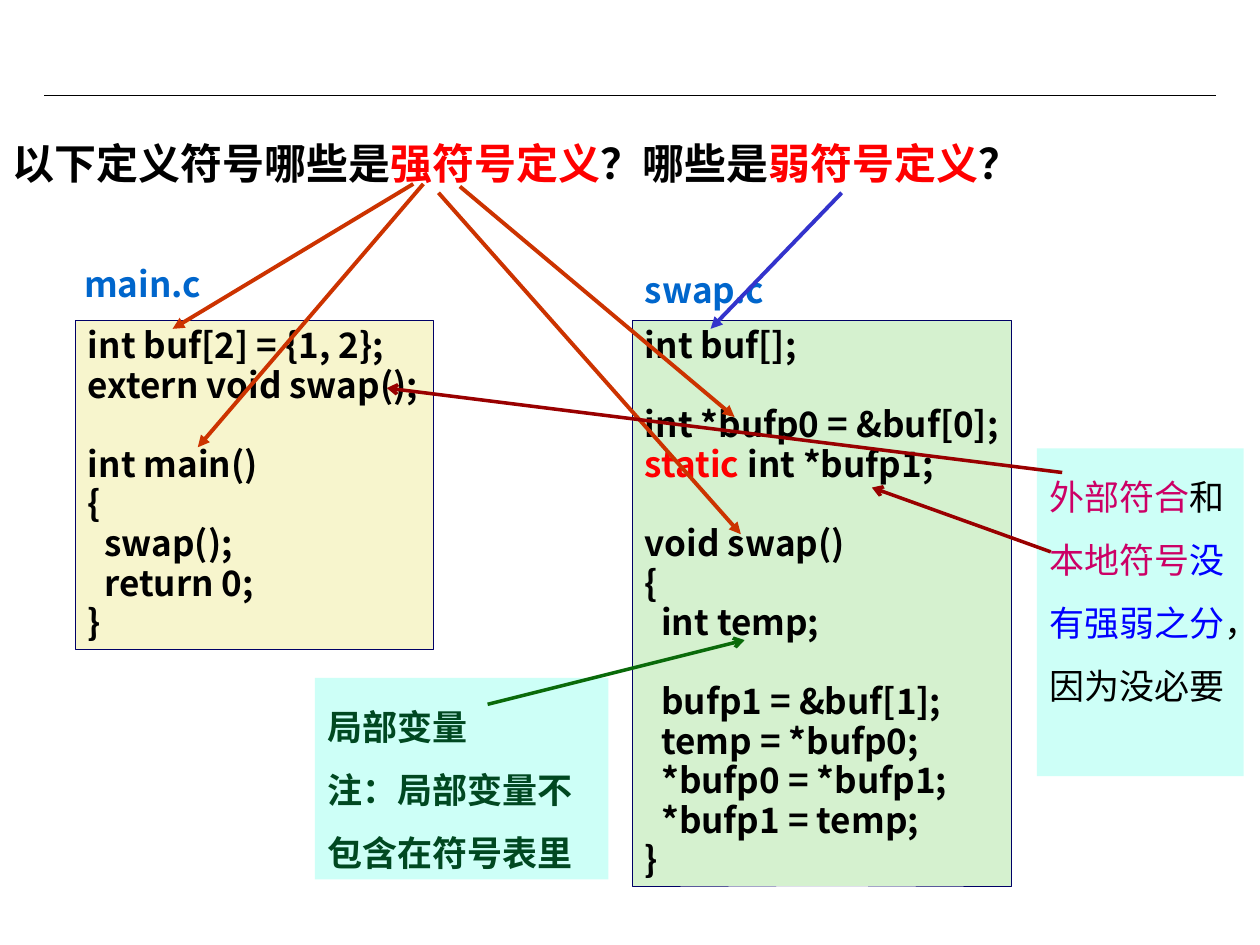
from pptx import Presentation, util as u
from pptx.dml.color import RGBColor
from pptx.enum import shapes, text
from pptx.oxml.ns import qn
from lxml import etree

COLORS = {
    "black": "000000", "red": "FF0000", "blue": "0000FF", "pink": "CC0066",
    "label": "0066CC", "green": "004821", "border": "000066",
    "cream": "F7F5CD", "mint": "D5F1CF", "aqua": "CDFFF7",
    "strong": "CC3300", "weak": "3333CC", "none": "990000", "local": "0A6A0A",
}
CJK_FONT = "Noto Sans CJK SC"
CODE_PITCH = 22.6
NOTE_PITCH = 36
TITLE_PITCH = 29.7
INDENT = 0.13

MAIN_CODE = """int buf[2] = {1, 2};
extern void swap();

int main()
{
  swap();
  return 0;
}"""
SWAP_CODE = """int buf[];

int *bufp0 = &buf[0];
static int *bufp1;

void swap()
{
  int temp;

  bufp1 = &buf[1];
  temp = *bufp0;
  *bufp0 = *bufp1;
  *bufp1 = temp;
}"""


def rgb(name):
    """Look up a palette colour."""
    return RGBColor.from_string(COLORS[name])


def add_spans(para, spans, pitch, size=20, bold=True, font=CJK_FONT):
    """Add (wording, colour) spans to a paragraph with a fixed line pitch."""
    para.alignment = text.PP_ALIGN.LEFT
    para.line_spacing = u.Pt(pitch)
    for wording, color in spans:
        span = para.add_run()
        span.text = wording
        span.font.size = u.Pt(size)
        span.font.bold = bold
        span.font.name = font
        span.font.color.rgb = rgb(color)
        east_asian = etree.SubElement(span.font._element, qn("a:ea"))
        east_asian.set("typeface", CJK_FONT)


def prepare_frame(shape):
    """Wrap the text of a shape from its top left corner."""
    frame = shape.text_frame
    frame.word_wrap = True
    frame.auto_size = text.MSO_AUTO_SIZE.NONE
    frame.vertical_anchor = text.MSO_ANCHOR.TOP
    return frame


def add_panel(page, box, fill, border=None):
    """Draw a filled rectangle and return its text frame."""
    panel = page.shapes.add_shape(shapes.MSO_SHAPE.RECTANGLE, *map(u.Inches, box))
    panel.shadow.inherit = False
    panel.fill.solid()
    panel.fill.fore_color.rgb = rgb(fill)
    if border:
        panel.line.color.rgb = rgb(border)
        panel.line.width = u.Pt(0.26)
    else:
        panel.line.fill.background()
    return prepare_frame(panel)


def add_title(page, box, spans):
    """Move the title placeholder and write the question in it."""
    title = page.shapes.title
    title.left, title.top, title.width, title.height = map(u.Inches, box)
    frame = prepare_frame(title)
    add_spans(frame.paragraphs[0], spans, TITLE_PITCH, size=24, font="Arial")


def add_listing(page, box, name, label_box, code, fill):
    """Place a source file: its name above a panel with its code."""
    frame = add_panel(page, box, fill, "border")
    frame.margin_right = 0
    para, gap = frame.paragraphs[0], 0
    for number, line in enumerate(code.split("\n")):
        if not line:
            gap = CODE_PITCH
            continue
        if number:
            para = frame.add_paragraph()
        para.space_before = u.Pt(gap)
        gap = 0
        wording = line.strip()
        if wording != line:
            para._p.get_or_add_pPr().set("marL", str(u.Inches(INDENT)))
        keyword, found, rest = wording.partition("static")
        spans = [(found, "red"), (rest, "black")] if found else [(keyword, "black")]
        add_spans(para, spans, CODE_PITCH)

    label = page.shapes.add_textbox(*map(u.Inches, label_box))
    add_spans(prepare_frame(label).paragraphs[0], [(name, "label")], CODE_PITCH)


def add_note(page, box, paragraphs, bold):
    """Place a borderless remark with widely spaced lines."""
    frame = add_panel(page, box, "aqua")
    for number, spans in enumerate(paragraphs):
        para = frame.add_paragraph() if number else frame.paragraphs[0]
        add_spans(para, spans, NOTE_PITCH, bold=bold)


def add_line(page, start, end, color, width, arrowhead=None):
    """Draw a straight line, with an optional arrowhead at its end."""
    line = page.shapes.add_connector(
        shapes.MSO_CONNECTOR.STRAIGHT, *map(u.Inches, start + end))
    line.line.color.rgb = rgb(color)
    line.line.width = u.Pt(width)
    if arrowhead:
        tail = etree.SubElement(line.line._get_or_add_ln(), qn("a:tailEnd"))
        tail.set("type", arrowhead)
    etree.SubElement(line._element.spPr, qn("a:effectLst"))


def build_symbol_page(deck):
    """Build the page on strong and weak symbol definitions."""
    page = deck.slides.add_slide(deck.slide_layouts.get_by_name("Title Only"))
    add_line(page, (0.35, 0.76), (9.65, 0.76), "black", 0.74)
    add_listing(page, (0.6, 2.54, 2.84, 2.61), "main.c",
                (0.57, 2.05, 1.29, 0.42), MAIN_CODE, "cream")
    add_listing(page, (5.02, 2.54, 3.01, 4.49), "swap.c",
                (5.02, 2.1, 1.46, 0.42), SWAP_CODE, "mint")
    add_note(page, (2.5, 5.38, 2.33, 1.6),
             [[("局部变量", "green")], [("注：局部变量不包含在符号表里", "green")]],
             bold=True)
    add_title(page, (0, 1.03, 7.89, 0.5), [
        ("以下定义符号哪些是", "black"), ("强符号定义", "red"),
        ("？哪些是", "black"), ("弱符号定义", "red"), ("？", "black")])
    add_note(page, (8.23, 3.56, 1.64, 2.6), [[
        ("外部符合", "pink"), ("和", "black"), ("本地符号", "pink"),
        ("没有强弱之分", "blue"), ("，因为没必要", "black")]], bold=False)

    for start, end, color, width, arrowhead in [
        ((3.87, 5.59), (5.91, 5.08), "local", 2, "arrow"),
        ((3.36, 1.46), (1.57, 3.55), "strong", 2.25, "triangle"),
        ((3.28, 1.46), (1.37, 2.61), "strong", 2.25, "triangle"),
        ((3.65, 1.48), (5.83, 3.31), "strong", 2.25, "triangle"),
        ((3.48, 1.53), (5.88, 4.24), "strong", 2.25, "triangle"),
        ((6.68, 1.53), (5.64, 2.61), "weak", 2.25, "triangle"),
        ((8.43, 3.75), (3.07, 3.08), "none", 2, "arrow"),
        ((8.34, 4.38), (6.92, 3.87), "none", 2, "arrow"),
    ]:
        add_line(page, start, end, color, width, arrowhead)


deck = Presentation()
deck.slide_width, deck.slide_height = u.Inches(10), u.Inches(7.5)
build_symbol_page(deck)
deck.save("out.pptx")
